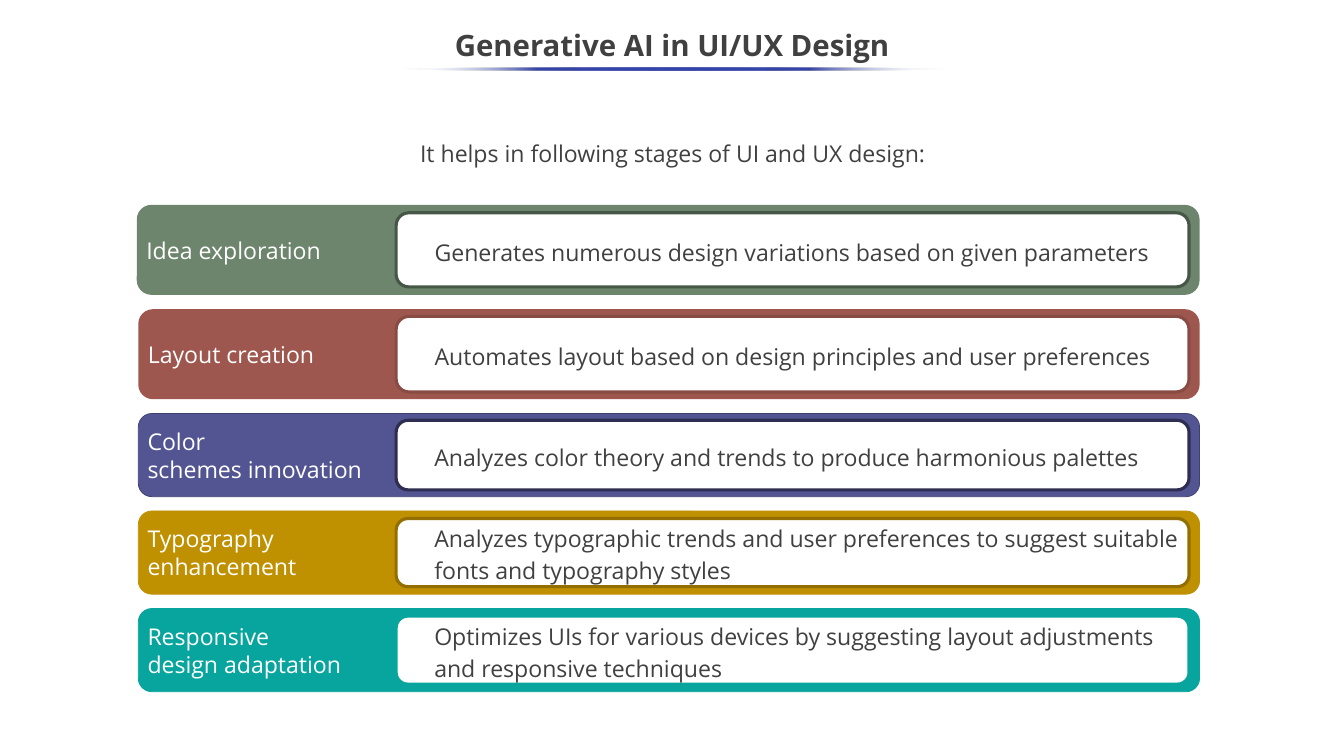
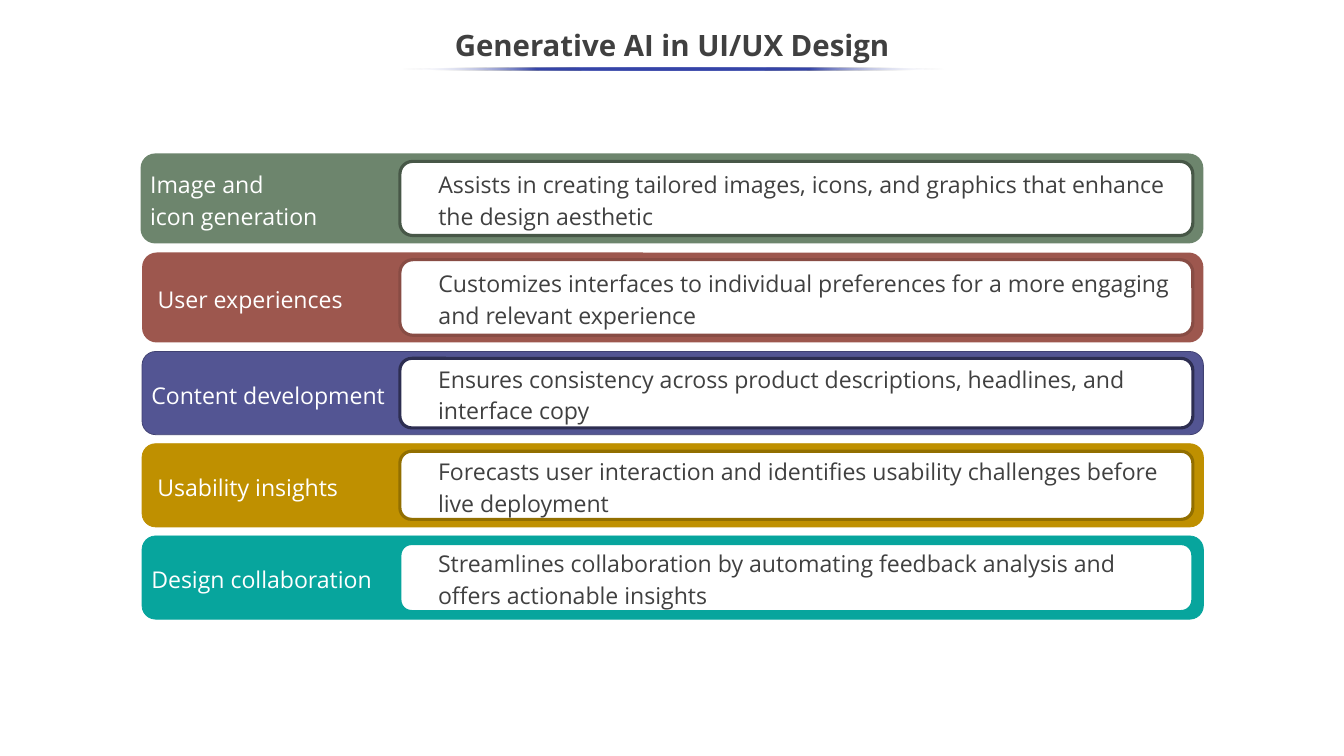
from dataclasses import dataclass

from lxml import etree
from pptx import Presentation
from pptx.dml.color import RGBColor
from pptx.enum.shapes import MSO_SHAPE as Shape
from pptx.enum.text import MSO_ANCHOR as Anchor, PP_ALIGN as Align
from pptx.oxml.ns import qn
from pptx.util import Inches, Pt


@dataclass(frozen=True)
class Theme:
    font: str = "Open Sans"
    title_size: int = 28
    text_size: int = 22
    ink: str = "404040"
    white: str = "FFFFFF"
    accent: str = "3645A9"
    panel_line: float = 3
    band_line: float = 0.75


theme = Theme()

# Per row: band fill, band outline, panel outline, band height, panel height
row_styles = [
    ("6D856D", None, "475747", 1.19, 0.98),
    ("9D574E", None, "884C44", 1.19, 1.0),
    ("535593", "404172", "2D2E51", 1.1, 0.92),
    ("BF9000", "BF9000", "926F00", 1.1, 0.9),
    ("07A59D", "07A59D", "07A59D", 1.1, 0.9),
]

# Per row: label lines, label indent, description
slides = [
    {
        "intro": "It helps in following stages of UI and UX design:",
        "left": 1.83, "top": 2.71, "gap": 0.19,
        "label_spacing": 1.0, "panel_spacing": 1.14,
        "rows": [
            (["Idea exploration"], 0,
             "Generates numerous design variations based on given parameters"),
            (["Layout creation"], 0,
             "Automates layout based on design principles and user preferences"),
            (["Color", "schemes innovation"], 0,
             "Analyzes color theory and trends to produce harmonious palettes"),
            (["Typography", "enhancement"], 0,
             "Analyzes typographic trends and user preferences to suggest suitable "
             "fonts and typography styles"),
            (["Responsive", "design adaptation"], 0,
             "Optimizes UIs for various devices by suggesting layout adjustments "
             "and responsive techniques"),
        ],
    },
    {
        "intro": None,
        "left": 1.88, "top": 2.03, "gap": 0.12,
        "label_spacing": 1.13, "panel_spacing": 1.13,
        "rows": [
            (["Image and", "icon generation"], 0,
             "Assists in creating tailored images, icons, and graphics that enhance "
             "the design aesthetic"),
            (["User experiences"], 0.08,
             "Customizes interfaces to individual preferences for a more engaging "
             "and relevant experience"),
            (["Content development"], 0,
             "Ensures consistency across product descriptions, headlines, and "
             "interface copy"),
            (["Usability insights"], 0.08,
             "Forecasts user interaction and identifies usability challenges before "
             "live deployment"),
            (["Design collaboration"], 0,
             "Streamlines collaboration by automating feedback analysis and "
             "offers actionable insights"),
        ],
    },
]


def write_text(box, lines, color, size=theme.text_size, bold=False, align=Align.LEFT,
               spacing=1.0, indent=0, anchor=Anchor.MIDDLE, margins=(0.07, 0.04)):
    frame = box.text_frame
    frame.word_wrap = True
    frame.vertical_anchor = anchor
    frame.margin_left = frame.margin_right = Inches(margins[0])
    frame.margin_top = frame.margin_bottom = Inches(margins[1])
    for number, line in enumerate(lines):
        para = frame.add_paragraph() if number else frame.paragraphs[0]
        para.alignment = align
        para.line_spacing = spacing
        if indent:
            para._p.get_or_add_pPr().set("marL", str(Inches(indent)))
        span = para.add_run()
        span.text = line
        span.font.name = theme.font
        span.font.size = Pt(size)
        span.font.bold = bold
        span.font.color.rgb = RGBColor.from_string(color)


def add_round_box(shapes, left, top, width, height, corner, fill, line, line_width):
    box = shapes.add_shape(Shape.ROUNDED_RECTANGLE, Inches(left), Inches(top),
                           Inches(width), Inches(height))
    box.shadow.inherit = False
    box.adjustments[0] = corner
    box.fill.solid()
    box.fill.fore_color.rgb = RGBColor.from_string(fill)
    if line:
        box.line.color.rgb = RGBColor.from_string(line)
        box.line.width = Pt(line_width)
    else:
        box.line.fill.background()
    return box


deck = Presentation()
deck.slide_width, deck.slide_height = Inches(17.78), Inches(10)

for content in slides:
    page = deck.slides.add_slide(deck.slide_layouts[6])
    page.background.fill.solid()
    page.background.fill.fore_color.rgb = RGBColor.from_string(theme.white)

    # Intro line
    if content["intro"]:
        intro = page.shapes.add_textbox(Inches(1.41), Inches(1.79), Inches(14.98), Inches(0.58))
        write_text(intro, [content["intro"]], theme.ink, align=Align.CENTER, spacing=1.15,
                   anchor=Anchor.TOP, margins=(0.1, 0))

    # Title
    title = page.shapes.add_textbox(Inches(0), Inches(0.25), Inches(17.78), Inches(0.75))
    write_text(title, ["Generative AI in UI/UX Design"], theme.ink, size=theme.title_size,
               bold=True, align=Align.CENTER, spacing=0.9, margins=(0.1, 0.05))

    # Title underline, fading out at both ends
    underline = page.shapes.add_shape(Shape.OVAL, Inches(5.31), Inches(0.89),
                                      Inches(7.18), Inches(0.04))
    underline.shadow.inherit = False
    underline.line.fill.background()
    underline.fill.gradient()
    underline.fill.gradient_angle = 180
    stops = underline._element.spPr.find(".//" + qn("a:gsLst"))
    for stop in list(stops):
        stops.remove(stop)
    for percent in (0, 25, 50, 75, 100):
        at_end = percent in (0, 100)
        stop = etree.SubElement(stops, qn("a:gs"), pos=str(percent * 1000))
        color = etree.SubElement(stop, qn("a:srgbClr"),
                                 val=theme.white if at_end else theme.accent)
        if at_end:
            etree.SubElement(color, qn("a:alpha"), val="0")

    # Bands, each with a label and a white description panel
    left, top = content["left"], content["top"]
    right = left + 14.04
    for number, (style, row) in enumerate(zip(row_styles, content["rows"])):
        fill, band_line, panel_line, band_height, panel_height = style
        label, indent, description = row
        group = page.shapes.add_group_shape()
        band_left = left if number else left - 0.02
        band = add_round_box(group.shapes, band_left, top, right - band_left, band_height,
                             0.162, fill, band_line, theme.band_line)
        write_text(band, label, theme.white, spacing=content["label_spacing"], indent=indent)

        panel_top = top + (band_height - panel_height) / 2
        panel = add_round_box(group.shapes, left + 3.41, panel_top, 10.49, panel_height,
                              0.171, theme.white, panel_line, theme.panel_line)
        write_text(panel, [description], theme.ink, spacing=content["panel_spacing"],
                   indent=0.39)
        top += band_height + content["gap"]

deck.save("out.pptx")
